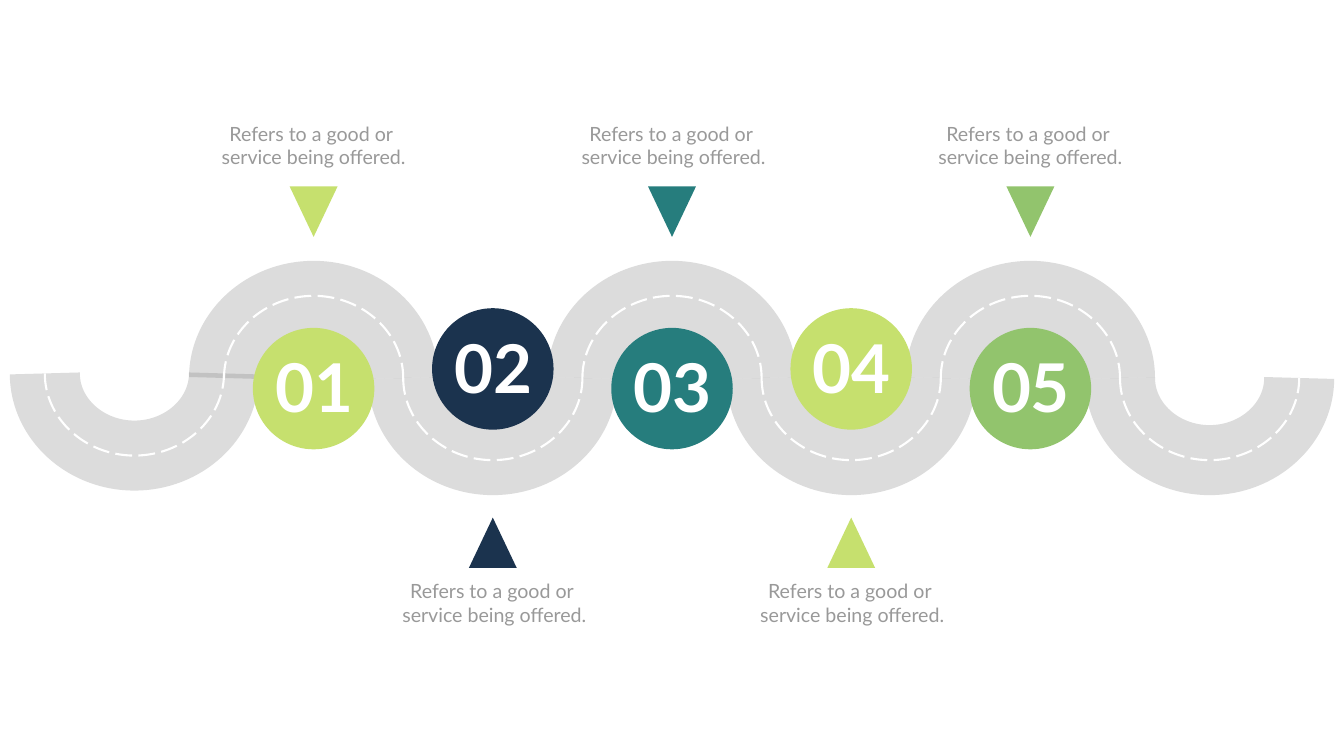
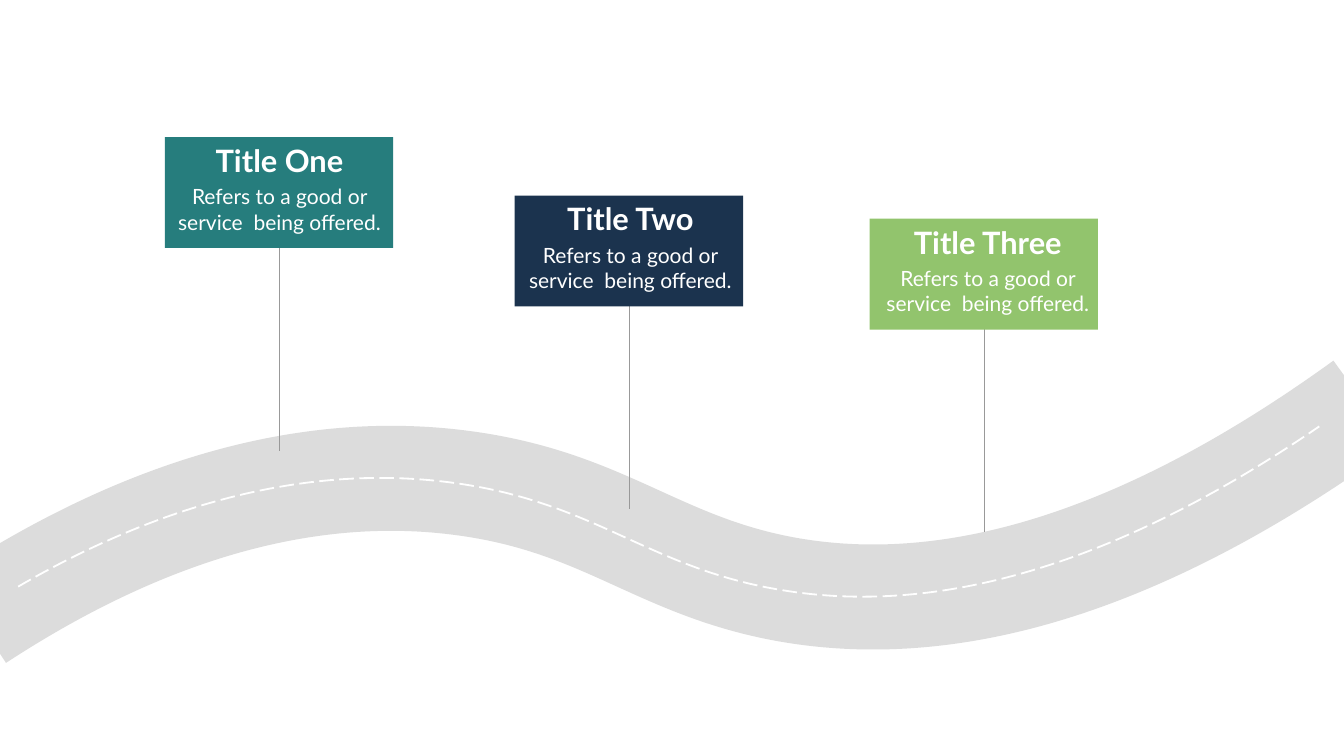
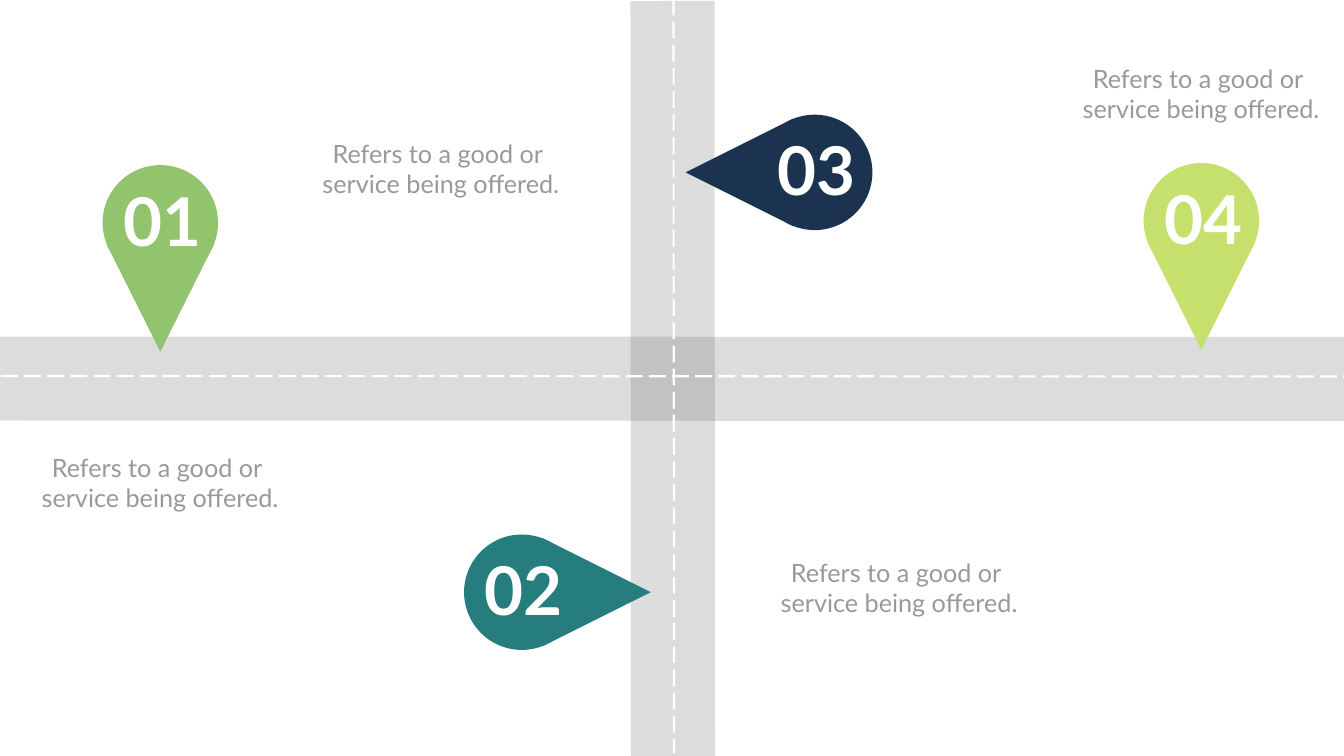
from lxml import etree
from pptx import Presentation
from pptx import util as u
from pptx.dml.color import RGBColor
from pptx.enum import dml, shapes, text
from pptx.oxml.ns import qn

# Shared look
W, H = 26.66, 15
FONT = "Lato"
LIME = RGBColor(0xC6, 0xE0, 0x6E)
NAVY = RGBColor(0x1B, 0x33, 0x4E)
TEAL = RGBColor(0x26, 0x7D, 0x7D)
GREEN = RGBColor(0x92, 0xC4, 0x6D)
GREY = RGBColor(0x99, 0x99, 0x99)
ASPHALT = RGBColor(0x79, 0x79, 0x79)
WHITE = RGBColor(0xFF, 0xFF, 0xFF)
OVAL = shapes.MSO_SHAPE.OVAL
TRIANGLE = shapes.MSO_SHAPE.ISOSCELES_TRIANGLE
ROUNDNESS = 0.55  # control handle of a quarter ellipse, as a share of its radius

# Content
CAPTION = ["Refers to a good or ", "service being offered."]
# number, colour, shift of the caption from the stop
STOPS = [("01", LIME, 0), ("02", NAVY, 0.03), ("03", TEAL, 0.03),
         ("04", LIME, 0.02), ("05", GREEN, 0)]

CARD_TEXT = "Refers to a good or service  being offered."
# title, colour, card left, card top, shift of the text from the card's middle
CARDS = [
    ("Title One", TEAL, 3.27, 2.72, 0.01),
    ("Title Two", NAVY, 10.21, 3.88, 0.03),
    ("Title Three", GREEN, 17.25, 4.34, 0.08),
]
# start point, then control, control, end for each bend
HILL_ROAD = [(-0.45, 12.28),
             (1.89, 10.75), (5.36, 9.06), (9.22, 9.59),
             (12.01, 9.97), (13.05, 11.24), (15.63, 11.7),
             (18.09, 12.13), (21.81, 11.8), (27.06, 8)]
HILL_MARKING = [(0.36, 11.64),
                (2.63, 10.32), (5.67, 9.13), (8.99, 9.58),
                (11.79, 9.96), (12.83, 11.24), (15.4, 11.69),
                (17.76, 12.11), (21.27, 11.82), (26.17, 8.46)]

DOWN, LEFT, RIGHT = (0, 1), (-1, 0), (1, 0)
TURN = {DOWN: 180, LEFT: 270, RIGHT: 90}
# number, colour, pin centre, pointing direction, caption left and top
PINS = [
    ("01", GREEN, (3.18, 4.42), DOWN, (0.46, 8.93)),
    ("02", TEAL, (10.35, 11.75), RIGHT, (15.12, 11.01)),
    ("03", NAVY, (16.16, 3.42), LEFT, (6.03, 2.69)),
    ("04", LIME, (23.83, 4.38), DOWN, (21.11, 1.21)),
]


def style_line(line_shape, colour, width):
    line_shape.line.color.rgb = colour
    line_shape.line.width = u.Pt(width)
    properties = line_shape.element.spPr
    if properties.find(qn("a:effectLst")) is None:
        etree.SubElement(properties, qn("a:effectLst"))


def style_road(road, width):
    style_line(road, ASPHALT, width)
    tint = road.element.spPr.find(qn("a:ln")).find(".//" + qn("a:srgbClr"))
    etree.SubElement(tint, qn("a:alpha"), val="25000")


def style_marking(marking, width=3):
    style_line(marking, WHITE, width)
    marking.line.dash_style = dml.MSO_LINE.LONG_DASH


def add_curve(parent, points):
    """Draw a chain of cubic bends: start, then control, control, end."""
    emu = [(u.Inches(x), u.Inches(y)) for x, y in points]
    builder = parent.build_freeform(*emu[0])
    builder.add_line_segments(emu[1:], close=False)
    curve = builder.convert_to_shape()
    segments = list(curve.element.spPr.iter(qn("a:lnTo")))
    for first in range(0, len(segments), 3):
        bend = etree.Element(qn("a:cubicBezTo"))
        segments[first].addprevious(bend)
        for segment in segments[first:first + 3]:
            bend.append(segment[0])
            segment.getparent().remove(segment)
    curve.shadow.inherit = False
    curve.fill.background()
    return curve


def add_straight(slide, start, end):
    return slide.shapes.add_connector(
        shapes.MSO_CONNECTOR.STRAIGHT, *(u.Inches(v) for v in start + end))


def add_solid(slide, preset, centre, size, colour, rotation=0):
    (cx, cy), (w, h) = centre, size
    solid = slide.shapes.add_shape(
        preset, *(u.Inches(v) for v in (cx - w / 2, cy - h / 2, w, h)))
    solid.shadow.inherit = False
    solid.fill.solid()
    solid.fill.fore_color.rgb = colour
    solid.line.fill.background()
    solid.rotation = rotation


def add_text(slide, box, lines, size, colour, bold=False, wrap=True,
             align=text.PP_ALIGN.CENTER):
    frame = slide.shapes.add_textbox(*(u.Inches(v) for v in box)).text_frame
    frame.text = "\n".join(lines)
    frame.word_wrap = wrap
    frame.auto_size = text.MSO_AUTO_SIZE.SHAPE_TO_FIT_TEXT
    for paragraph in frame.paragraphs:
        paragraph.alignment = align
        font = paragraph.font
        font.name, font.size, font.bold = FONT, u.Pt(size), bold
        font.color.rgb = colour


def add_number(slide, centre, offset, number):
    left, top = (c - d for c, d in zip(centre, offset))
    add_text(slide, (left, top, 1.76, 1.72), [number], 96, WHITE,
             bold=True, wrap=False, align=text.PP_ALIGN.LEFT)


def half_ellipse(cx, base, rx, ry):
    tip, handle_x, handle_y = base + ry, rx * ROUNDNESS, ry * ROUNDNESS
    return [(cx - rx, base),
            (cx - rx, base + handle_y), (cx - handle_x, tip), (cx, tip),
            (cx + handle_x, tip), (cx + rx, base + handle_y), (cx + rx, base)]


def build_winding_road(slide):
    pitch = W * 2 / 15
    middle = len(STOPS) // 2

    def stop_x(i):
        return W / 2 + (i - middle) * pitch

    # Road of alternating arcs, one more at each end than there are stops
    arcs = []
    for i in range(-1, len(STOPS) + 1):
        base = 7.41 if i < 0 else H / 2
        rise = 1.63 if i % 2 else -1.63
        arcs.append(half_ellipse(stop_x(i), base, pitch / 2, rise))
    road = slide.shapes.add_group_shape()
    for arc in arcs:
        style_road(add_curve(road.shapes, arc), 100)
    for arc in arcs:
        style_marking(add_curve(slide.shapes, arc))

    # Stops: captions above the crests and below the dips
    for i, (number, colour, shift) in enumerate(STOPS):
        crest = i % 2 == 0
        cx = stop_x(i)
        dot = (cx, 7.71 if crest else 7.32)
        add_solid(slide, OVAL, dot, (2.41, 2.41), colour)
        add_solid(slide, TRIANGLE, (cx, 4.2 if crest else 10.77), (0.95, 1),
                  colour, 180 if crest else 0)
        add_number(slide, dot, (0.86, 0.9), number)
        add_text(slide, (cx + shift - 2.1, 2.36 if crest else 11.44, 4.2, 1.04),
                 CAPTION, 28, GREY)


def build_hill_road(slide):
    style_road(add_curve(slide.shapes, HILL_ROAD), 150)
    style_marking(add_curve(slide.shapes, HILL_MARKING), 2.61)

    # Signs on poles
    card_w, card_h = 4.53, 2.2
    for title, colour, left, top, shift in CARDS:
        cx, cy = left + card_w / 2, top + card_h / 2
        style_line(add_straight(slide, (cx, cy), (cx, cy + 5.12)), GREY, 0.57)
        add_solid(slide, shapes.MSO_SHAPE.RECTANGLE, (cx, cy),
                  (card_w, card_h), colour)
        text_x = cx + shift
        add_text(slide, (text_x - 1.6, top + 0.04, 3.2, 0.84), [title], 44,
                 WHITE, bold=True, wrap=False)
        add_text(slide, (text_x - 2.33, top + 0.88, 4.66, 1.11), [CARD_TEXT],
                 30, WHITE)


def build_crossroads(slide):
    for start, end in (((13.34, 0.02), (13.35, H)), ((0, 7.51), (W, 7.52))):
        style_road(add_straight(slide, start, end), 120)
    for start, end in (((13.36, -0.03), (13.37, 14.95)), ((0.02, 7.46), (W, 7.47))):
        style_marking(add_straight(slide, start, end))

    # Pins pointing at the roads
    for number, colour, centre, direction, caption_at in PINS:
        point = tuple(c + 1.49 * d for c, d in zip(centre, direction))
        add_solid(slide, TRIANGLE, point, (2.14, 2.14), colour, TURN[direction])
        add_solid(slide, OVAL, centre, (2.29, 2.29), colour)
        add_number(slide, centre, (0.83, 0.92), number)
        add_text(slide, caption_at + (5.43, 1.31), CAPTION, 36, GREY)


def main():
    deck = Presentation()
    deck.slide_width, deck.slide_height = u.Inches(W), u.Inches(H)
    blank = deck.slide_layouts[6]
    for build in (build_winding_road, build_hill_road, build_crossroads):
        build(deck.slides.add_slide(blank))
    deck.save("out.pptx")


if __name__ == "__main__":
    main()
